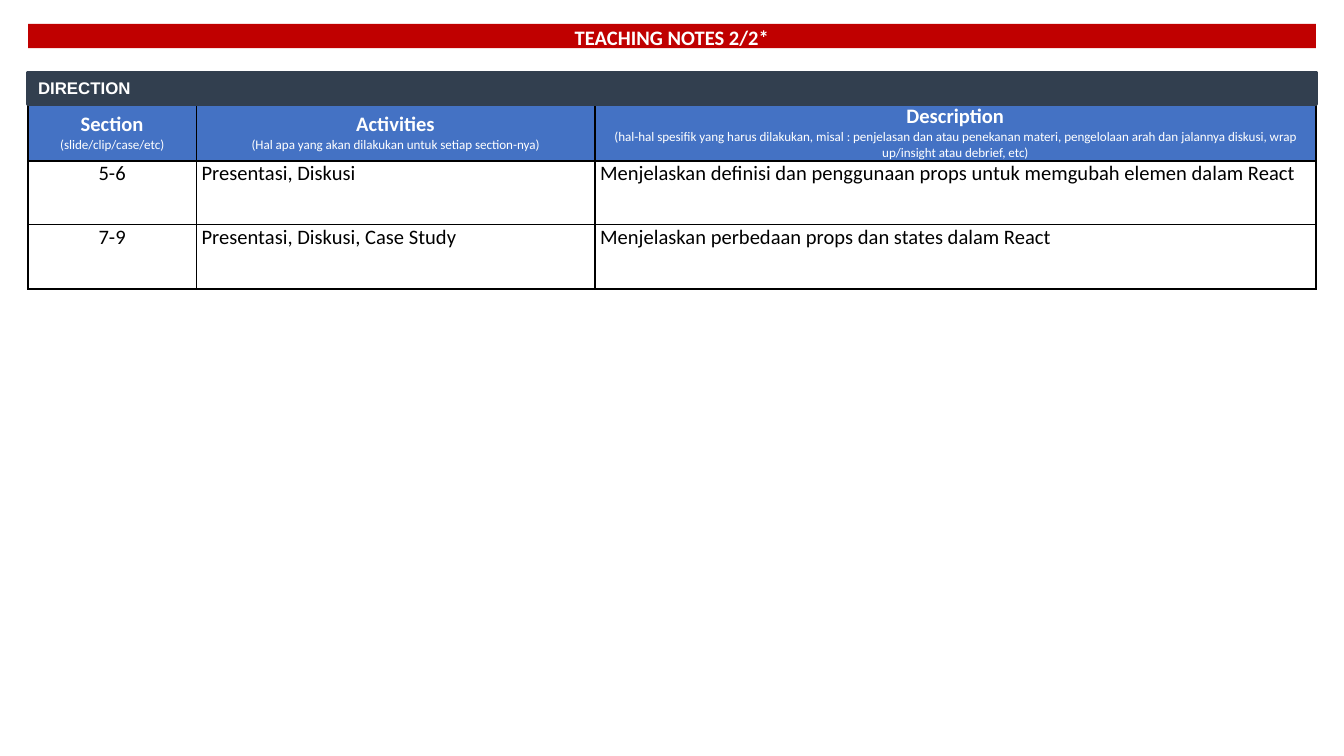
from dataclasses import dataclass

from lxml.etree import SubElement
from pptx import Presentation
from pptx.dml.color import RGBColor
from pptx.enum.shapes import MSO_SHAPE as Shape
from pptx.enum.text import MSO_ANCHOR as Anchor, MSO_AUTO_SIZE as AutoSize, PP_ALIGN as Align
from pptx.oxml.ns import qn
from pptx.util import Cm, Pt


@dataclass(frozen=True)
class Theme:
    red: RGBColor = RGBColor(0xC0, 0x00, 0x00)
    slate: RGBColor = RGBColor(0x32, 0x3F, 0x4F)
    blue: RGBColor = RGBColor(0x44, 0x72, 0xC4)
    white: RGBColor = RGBColor(0xFF, 0xFF, 0xFF)
    black: RGBColor = RGBColor(0x00, 0x00, 0x00)
    body_font: str = "Calibri"
    band_font: str = "Arial"
    body_size: int = 11
    band_size: int = 9
    hint_size: int = 7


theme = Theme()


def write_text(frame, text, *, size=theme.body_size, color=theme.white, bold=False,
               font=theme.body_font, align=Align.LEFT, spacing=1.0):
    """Write one paragraph, using the frame's first one while it is empty."""
    paragraph = frame.paragraphs[0] if not frame.text else frame.add_paragraph()
    paragraph.alignment, paragraph.line_spacing = align, spacing
    run = paragraph.add_run()
    run.text = text
    run.font.name, run.font.size, run.font.bold = font, Pt(size), bold
    run.font.color.rgb = color


def style_cell(cell, fill):
    """Give a cell its margins, black borders and fill."""
    cell.margin_left = cell.margin_right = Cm(0.1)
    cell.margin_top = cell.margin_bottom = 0
    properties = cell._tc.get_or_add_tcPr()
    for side in ("a:lnL", "a:lnR", "a:lnT", "a:lnB"):
        border = SubElement(properties, qn(side), w=str(Pt(1)))
        solid = SubElement(border, qn("a:solidFill"))
        SubElement(solid, qn("a:srgbClr"), val=str(theme.black))
    cell.fill.solid()
    cell.fill.fore_color.rgb = fill


presentation = Presentation()
presentation.slide_width, presentation.slide_height = Cm(25.4), Cm(14.28)
slide = presentation.slides.add_slide(presentation.slide_layouts[5])
left, width = Cm(0.53), Cm(24.34)

# Direction table
headers = [
    ("Section", "(slide/clip/case/etc)"),
    ("Activities", "(Hal apa yang akan dilakukan untuk setiap section-nya)"),
    ("Description", "(hal-hal spesifik yang harus dilakukan, misal : penjelasan dan atau "
     "penekanan materi, pengelolaan arah dan jalannya diskusi, wrap up/insight atau debrief, etc)"),
]
sections = [
    ("5-6", "Presentasi, Diskusi",
     "Menjelaskan definisi dan penggunaan props untuk memgubah elemen dalam React"),
    ("7-9", "Presentasi, Diskusi, Case Study",
     "Menjelaskan perbedaan props dan states dalam React"),
]
column_widths = [3.18, 7.53, 13.63]
row_heights = [0.94, 1.2, 1.22]

table = slide.shapes.add_table(len(row_heights), len(column_widths), left, Cm(1.96),
                               width, Cm(sum(row_heights))).table
table.first_row = table.horz_banding = False
for column, column_width in zip(table.columns, column_widths):
    column.width = Cm(column_width)
for row, row_height in zip(table.rows, row_heights):
    row.height = Cm(row_height)

for index, (heading, hint) in enumerate(headers):
    cell = table.cell(0, index)
    style_cell(cell, theme.blue)
    cell.vertical_anchor = Anchor.MIDDLE
    write_text(cell.text_frame, heading, bold=True, align=Align.CENTER)
    write_text(cell.text_frame, hint, size=theme.hint_size, align=Align.CENTER)

for row_index, section in enumerate(sections, start=1):
    for index, text in enumerate(section):
        cell = table.cell(row_index, index)
        style_cell(cell, theme.white)
        write_text(cell.text_frame, text, color=theme.black,
                   align=Align.LEFT if index else Align.CENTER)

# Title bar and direction band
title = slide.shapes.title
title.left, title.top, title.width, title.height = left, Cm(0.45), width, Cm(0.46)
band = slide.shapes.add_shape(Shape.RECTANGLE, left, Cm(1.37), width, Cm(0.59))
band.shadow.inherit = False
band.line.color.rgb, band.line.width = theme.slate, Pt(2)

for shape, fill in ((title, theme.red), (band, theme.slate)):
    shape.fill.solid()
    shape.fill.fore_color.rgb = fill
    frame = shape.text_frame
    frame.word_wrap, frame.auto_size = True, AutoSize.NONE
    frame.vertical_anchor = Anchor.MIDDLE
    frame.margin_left = frame.margin_right = Cm(0.19)
    frame.margin_top = frame.margin_bottom = Cm(0.1)

write_text(title.text_frame, "TEACHING NOTES 2/2*", bold=True, align=Align.CENTER, spacing=1.07)
write_text(band.text_frame, "DIRECTION", size=theme.band_size, font=theme.band_font, bold=True)

presentation.save("out.pptx")
